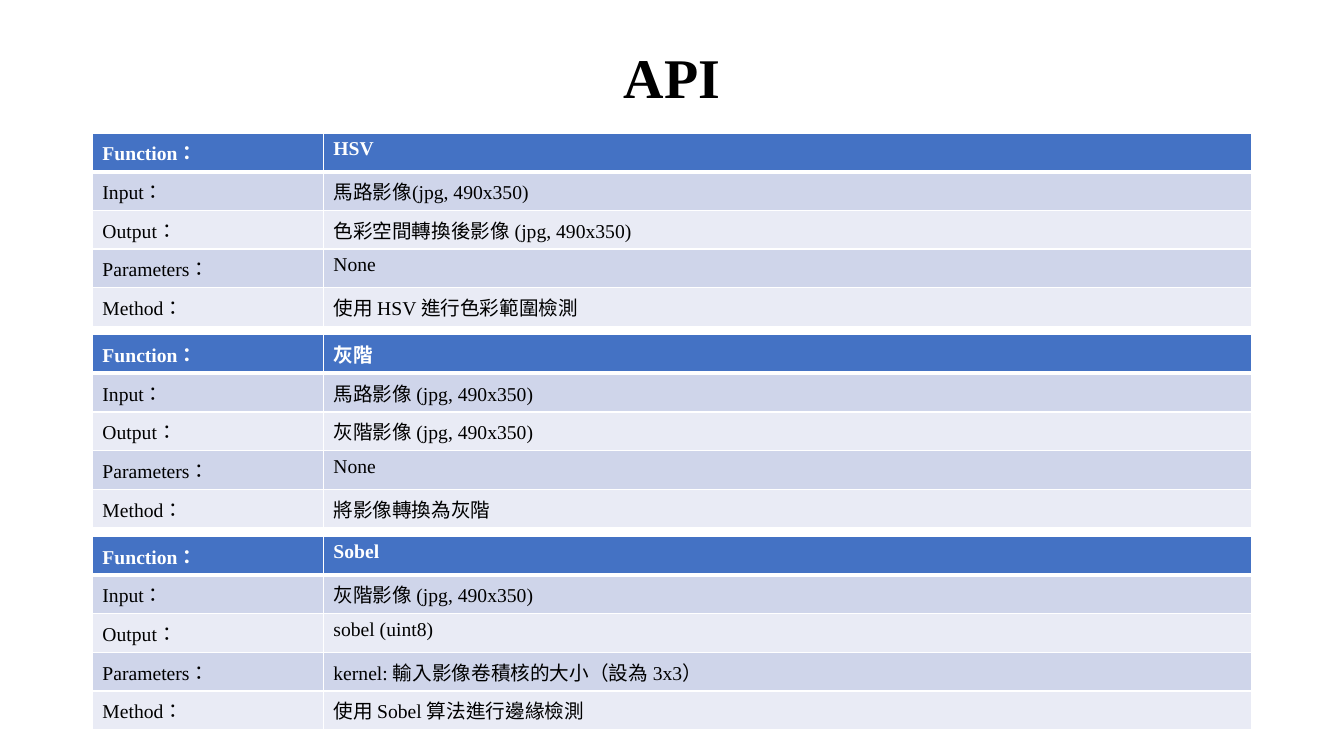
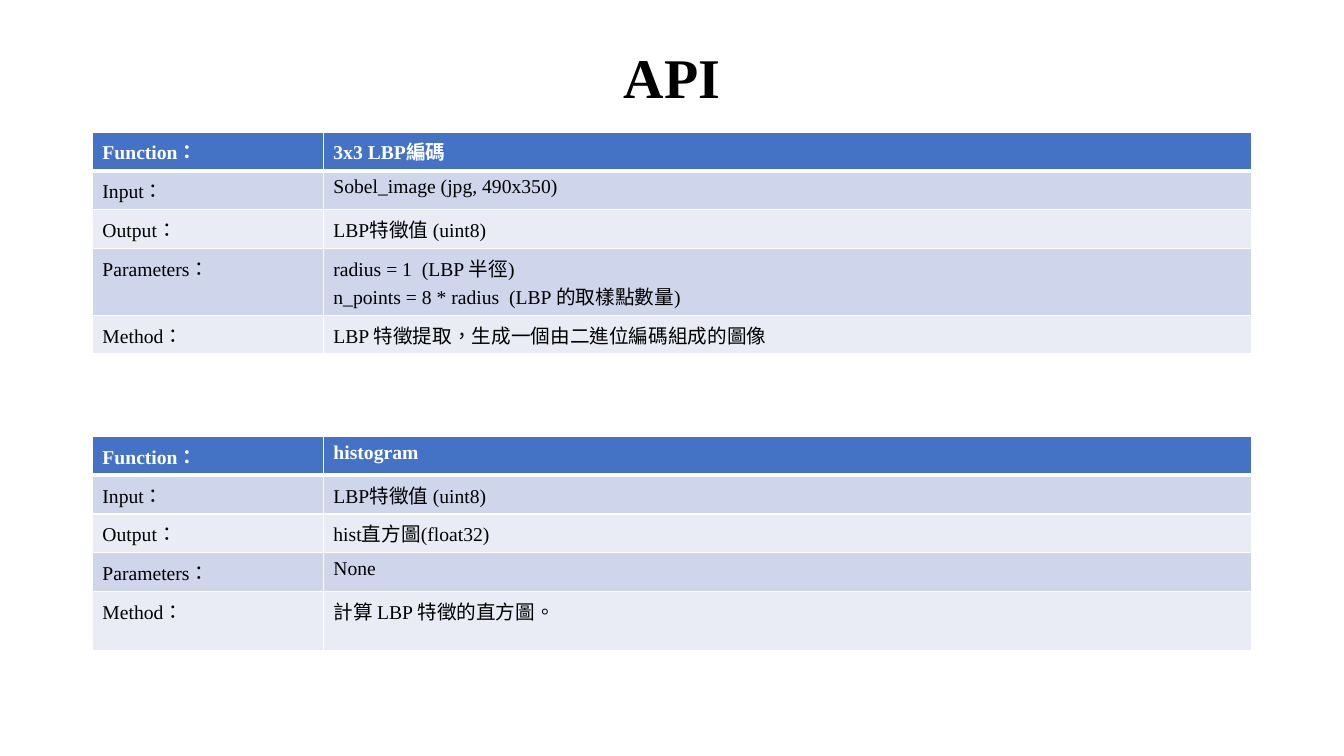
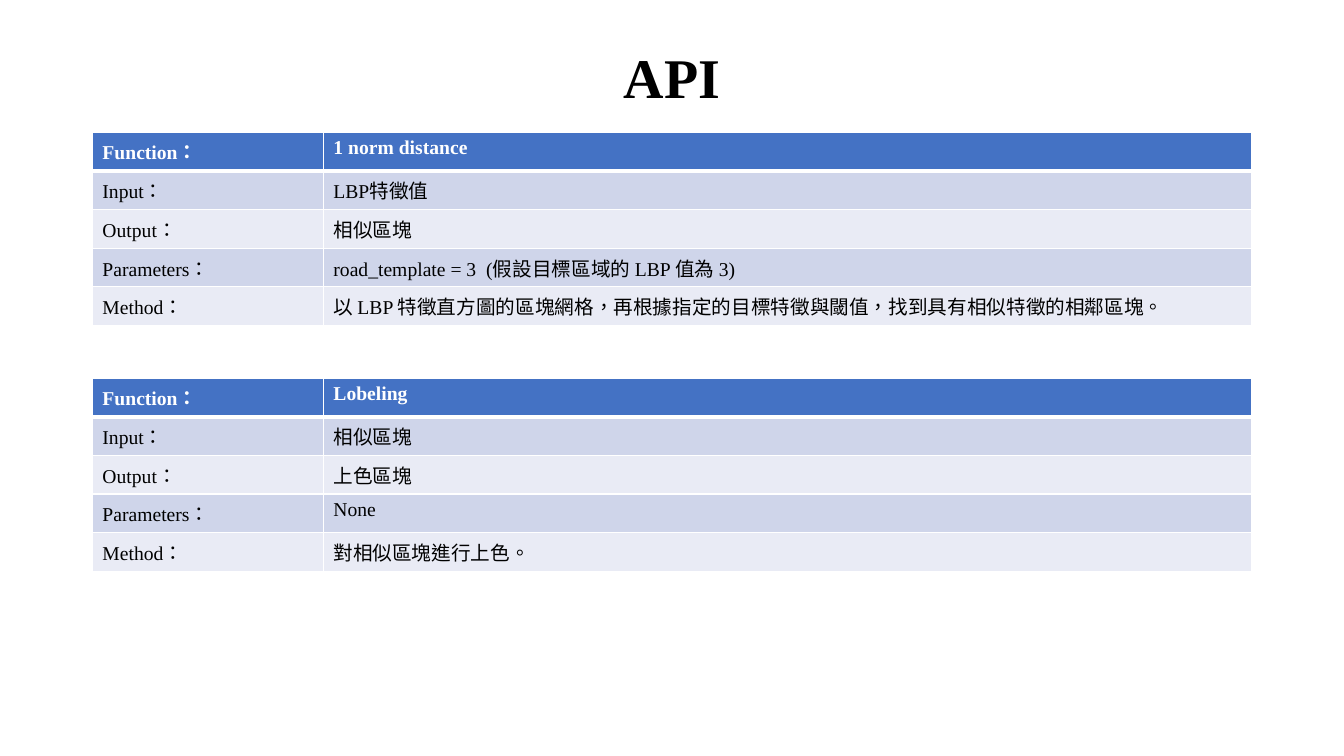
"""Build three slides of API reference tables."""
from lxml.etree import SubElement
from pptx import Presentation
from pptx.dml.color import RGBColor
from pptx.enum.lang import MSO_LANGUAGE_ID as Language
from pptx.enum.text import MSO_ANCHOR as Anchor, PP_ALIGN as Align
from pptx.oxml.ns import qn
from pptx.util import Pt

WHITE = RGBColor(0xFF, 0xFF, 0xFF)
BLACK = RGBColor(0x00, 0x00, 0x00)
HEADER_BLUE = RGBColor(0x44, 0x72, 0xC4)
BANDS = (RGBColor(0xE9, 0xEB, 0xF5), RGBColor(0xCF, 0xD5, 0xEA))

TITLE = "API"
LABELS = ("Function：", "Input：", "Output：", "Parameters：", "Method：")
PAGES = [
    [
        (95, {}, ("HSV", "馬路影像(jpg, 490x350)", "色彩空間轉換後影像 (jpg, 490x350)",
                  "None", "使用 HSV 進行色彩範圍檢測")),
        (239, {}, ("灰階", "馬路影像 (jpg, 490x350)", "灰階影像 (jpg, 490x350)",
                   "None", "將影像轉換為灰階")),
        (383, {}, ("Sobel", "灰階影像 (jpg, 490x350)", "sobel (uint8)",
                   "kernel: 輸入影像卷積核的大小（設為 3x3）", "使用 Sobel 算法進行邊緣檢測")),
    ],
    [
        (94.3, {3: 48}, ("3x3 LBP編碼", "Sobel_image (jpg, 490x350)", "LBP特徵值 (uint8)",
                         "radius = 1  (LBP 半徑)\nn_points = 8 * radius  (LBP 的取樣點數量)",
                         "LBP 特徵提取，生成一個由二進位編碼組成的圖像")),
        (311.8, {4: 42.5}, ("histogram", "LBP特徵值 (uint8)", "hist直方圖(float32)",
                            "None", "計算 LBP 特徵的直方圖。")),
    ],
    [
        (94.3, {}, ("1 norm distance", "LBP特徵值", "相似區塊",
                    "road_template = 3  (假設目標區域的 LBP 值為 3)",
                    "以 LBP 特徵直方圖的區塊網格，再根據指定的目標特徵與閾值，找到具有相似特徵的相鄰區塊。")),
        (270, {}, ("Lobeling", "相似區塊", "上色區塊", "None", "對相似區塊進行上色。")),
    ],
]

LEFT = 66
COLUMNS = (165, 663)
ROW_HEIGHT = 27.65
FONT = {"name": "Times New Roman", "language_id": Language.TRADITIONAL_CHINESE}
TITLE_FORMAT = {**FONT, "size": Pt(40), "bold": True}
HEADER_FORMAT = {**FONT, "size": Pt(14), "bold": True}
BODY_FORMAT = {**HEADER_FORMAT, "bold": False}


def write(frame, text, formats, color):
    frame.text = text
    for para in frame.paragraphs:
        for span in para.runs:
            for name, value in formats.items():
                setattr(span.font, name, value)
            span.font.color.rgb = color


def add_title(page):
    box = page.shapes.add_textbox(Pt(LEFT), Pt(28.8), Pt(sum(COLUMNS)), Pt(57))
    frame = box.text_frame
    frame.word_wrap = True
    frame.vertical_anchor = Anchor.MIDDLE
    write(frame, TITLE, TITLE_FORMAT, BLACK)
    frame.paragraphs[0].alignment = Align.CENTER
    frame.paragraphs[0].line_spacing = 0.9


def add_borders(cell, row):
    widths = {"L": 1, "R": 1, "T": 3 if row == 1 else 1, "B": 3 if row == 0 else 1}
    properties = cell._tc.get_or_add_tcPr()
    for side, width in widths.items():
        line = SubElement(properties, qn(f"a:ln{side}"), w=str(Pt(width)))
        fill = SubElement(line, qn("a:solidFill"))
        SubElement(fill, qn("a:srgbClr"), val=str(WHITE))


def add_function_table(page, top, tall_rows, values):
    heights = [tall_rows.get(row, ROW_HEIGHT) for row in range(len(LABELS))]
    table = page.shapes.add_table(len(LABELS), len(COLUMNS), Pt(LEFT), Pt(top),
                                  Pt(sum(COLUMNS)), Pt(sum(heights))).table
    for column, width in zip(table.columns, COLUMNS):
        column.width = Pt(width)
    for row, texts in enumerate(zip(LABELS, values)):
        table.rows[row].height = Pt(heights[row])
        is_header = row == 0
        for column, text in enumerate(texts):
            cell = table.cell(row, column)
            write(cell.text_frame, text, HEADER_FORMAT if is_header else BODY_FORMAT,
                  WHITE if is_header else BLACK)
            add_borders(cell, row)
            cell.fill.solid()
            cell.fill.fore_color.rgb = HEADER_BLUE if is_header else BANDS[row % 2]


def main():
    deck = Presentation()
    deck.slide_width, deck.slide_height = Pt(960), Pt(540)
    for tables in PAGES:
        page = deck.slides.add_slide(deck.slide_layouts[6])
        add_title(page)
        for top, tall_rows, values in tables:
            add_function_table(page, top, tall_rows, values)
    deck.save("out.pptx")


if __name__ == "__main__":
    main()
